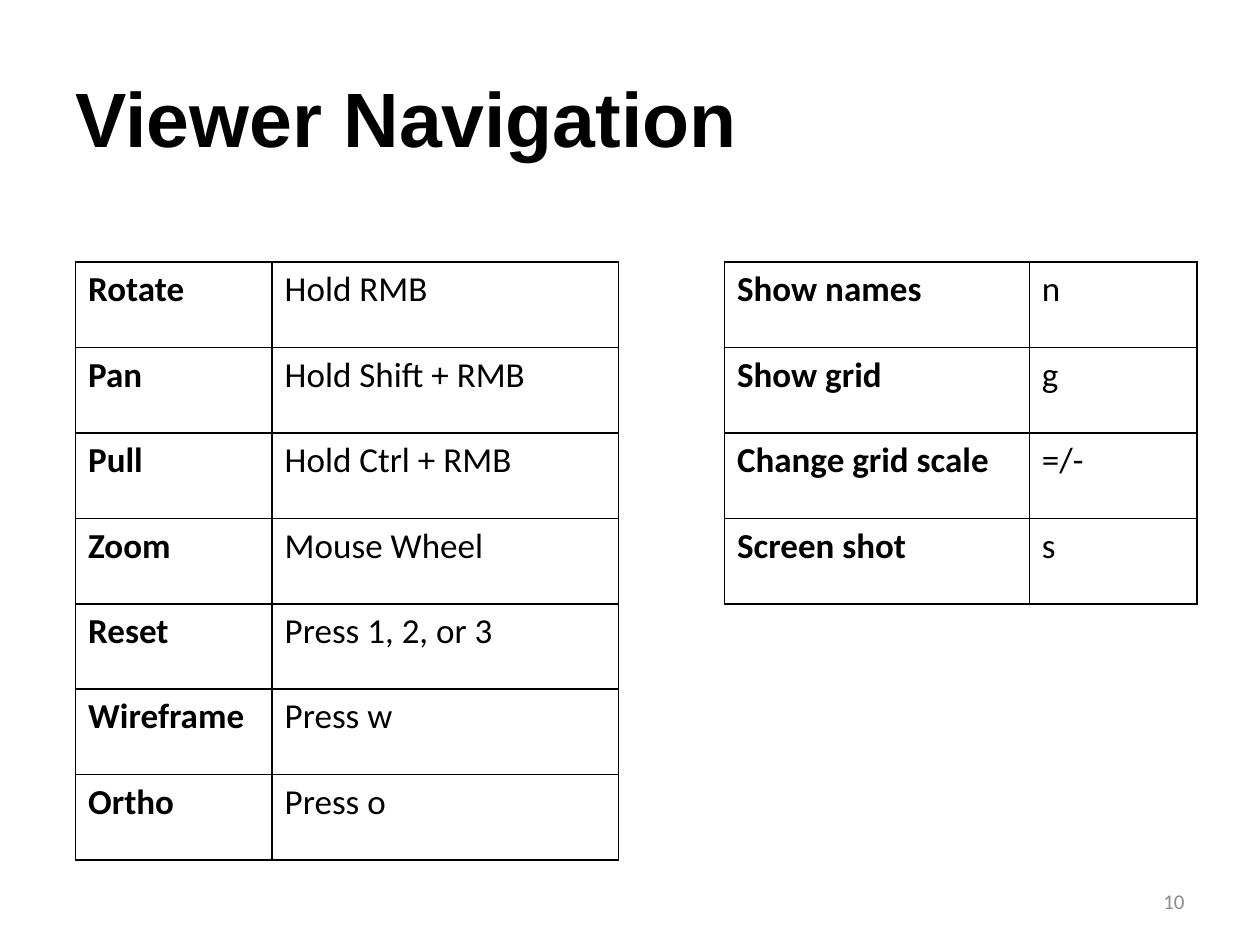
from lxml.etree import SubElement
from pptx import Presentation
from pptx.dml.color import RGBColor
from pptx.enum.text import MSO_ANCHOR, PP_ALIGN
from pptx.oxml.ns import qn
from pptx.util import Inches, Pt

BLACK = RGBColor(0x00, 0x00, 0x00)
WHITE = RGBColor(0xFF, 0xFF, 0xFF)
GREY = RGBColor(0x8C, 0x8C, 0x8C)

WIDTH, HEIGHT = Inches(10), Inches(7.5)
COL, ROW = WIDTH / 100, HEIGHT / 75
KEY_ROW = 6.78

MOUSE_KEYS = [
    ("Rotate", "Hold RMB"),
    ("Pan", "Hold Shift + RMB"),
    ("Pull", "Hold Ctrl + RMB"),
    ("Zoom", "Mouse Wheel"),
    ("Reset", "Press 1, 2, or 3"),
    ("Wireframe", "Press w"),
    ("Ortho", "Press o"),
]
DISPLAY_KEYS = [
    ("Show names", "n"),
    ("Show grid", "g"),
    ("Change grid scale", "=/-"),
    ("Screen shot", "s"),
]


def grid_box(left, top, width, height):
    return [round(n) for n in (left * COL, top * ROW, width * COL, height * ROW)]


def set_font(p, name, size, color, bold=False):
    p.font.name = name
    p.font.size = Pt(size)
    p.font.bold = bold
    p.font.color.rgb = color


def add_label(s, box, text, font, size, color, bold=False, align=PP_ALIGN.LEFT):
    tf = s.shapes.add_textbox(*box).text_frame
    tf.word_wrap = True
    tf.vertical_anchor = MSO_ANCHOR.MIDDLE
    p = tf.paragraphs[0]
    p.text = text
    p.alignment = align
    set_font(p, font, size, color, bold)


def add_borders(cell):
    tc_pr = cell._tc.get_or_add_tcPr()
    for side in ("a:lnL", "a:lnR", "a:lnT", "a:lnB"):
        line = SubElement(tc_pr, qn(side), w=str(Pt(1)))
        fill = SubElement(line, qn("a:solidFill"))
        SubElement(fill, qn("a:srgbClr"), val=str(BLACK))


def add_key_table(s, left, top, col_widths, entries):
    box = grid_box(left, top, sum(col_widths), KEY_ROW * len(entries))
    table = s.shapes.add_table(len(entries), len(col_widths), *box).table
    table.first_row = False
    table.horz_banding = False
    for column, width in zip(table.columns, col_widths):
        column.width = round(width * COL)
    for r, entry in enumerate(entries):
        table.rows[r].height = round(KEY_ROW * ROW)
        for c, text in enumerate(entry):
            cell = table.cell(r, c)
            add_borders(cell)
            cell.fill.solid()
            cell.fill.fore_color.rgb = WHITE
            p = cell.text_frame.paragraphs[0]
            p.text = text
            set_font(p, "Calibri", 20, BLACK, bold=c == 0)


def main():
    prs = Presentation()
    prs.slide_width, prs.slide_height = WIDTH, HEIGHT
    s = prs.slides.add_slide(prs.slide_layouts[6])
    add_label(s, grid_box(5, 3, 90, 12.5), "Viewer Navigation",
              "Arial", 44, BLACK, bold=True)
    add_label(s, grid_box(71.7, 69.5, 23.3, 4), "10",
              "Calibri", 12, GREY, align=PP_ALIGN.RIGHT)
    add_key_table(s, 6, 20.8, (15.6, 27.5), MOUSE_KEYS)
    add_key_table(s, 57.5, 20.8, (24.2, 13.3), DISPLAY_KEYS)
    prs.save("out.pptx")


if __name__ == "__main__":
    main()
